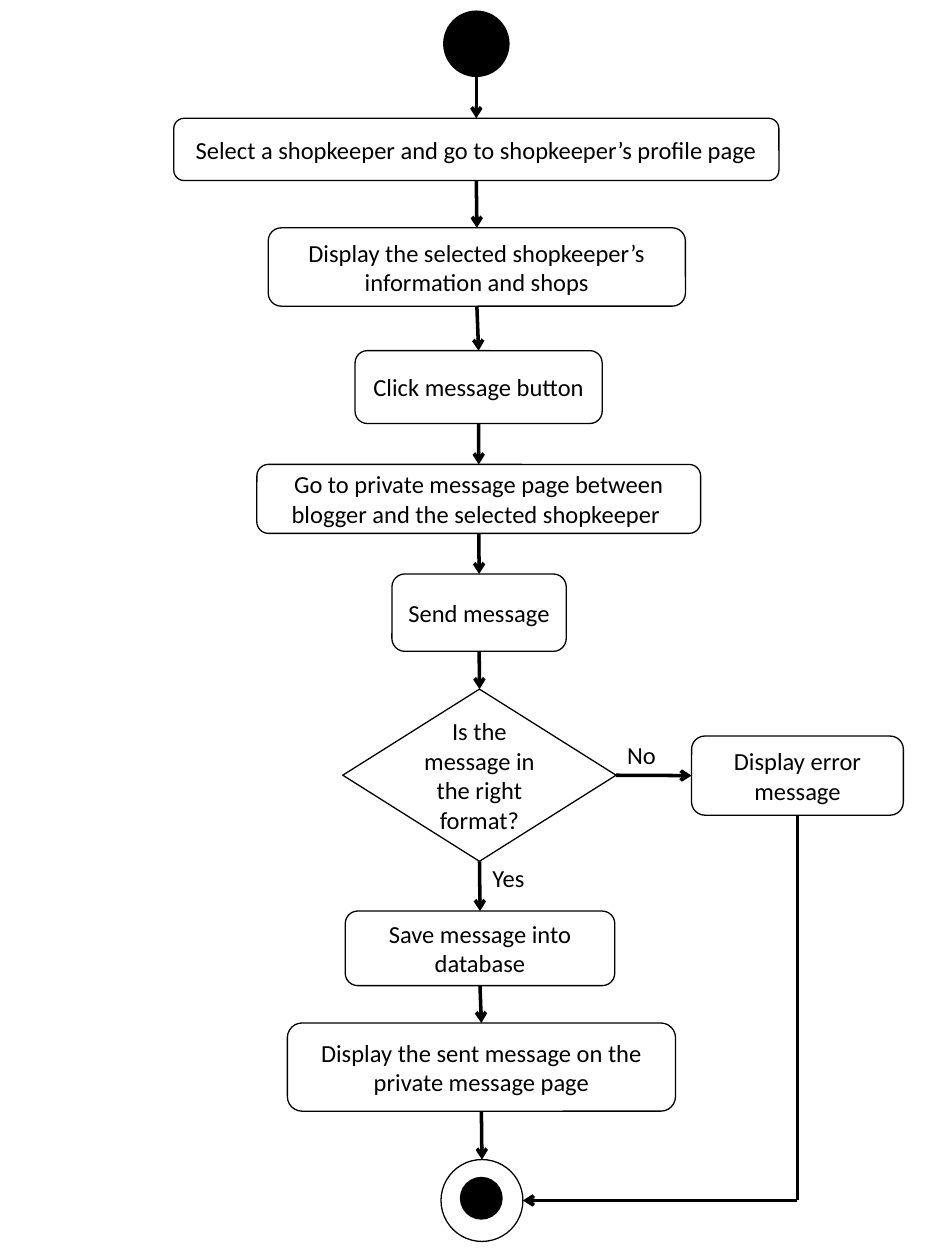
from lxml import etree
from pptx import Presentation
from pptx.dml.color import RGBColor
from pptx.enum.shapes import MSO_CONNECTOR, MSO_SHAPE
from pptx.enum.text import MSO_ANCHOR, MSO_AUTO_SIZE, PP_ALIGN
from pptx.oxml.ns import qn
from pptx.util import Pt

COLORS = {"ink": "000000", "paper": "FFFFFF"}
FONT = "Calibri"
TEXT_SIZE = 14
TOP, LEFT, BOTTOM, RIGHT = range(4)

ROUND, DIAMOND = MSO_SHAPE.ROUNDED_RECTANGLE, MSO_SHAPE.FLOWCHART_DECISION
# Steps: kind, shift from the column's axis, top, width, height, wording
STEPS = [
    (ROUND, 0, 61.6, 345.8, 35.6,
     "Select a shopkeeper and go to shopkeeper’s profile page"),
    (ROUND, 0.3, 124.2, 238.4, 44.8,
     "Display the selected shopkeeper’s information and shops"),
    (ROUND, 1.3, 194.4, 141.2, 41.6, "Click message button"),
    (ROUND, 1.4, 259.4, 253.6, 39.4,
     "Go to private message page between blogger and the selected shopkeeper "),
    (ROUND, 1.6, 322, 99.6, 44.2, "Send message"),
    (DIAMOND, 1.8, 387.8, 156.2, 98.4, "Is the message in the right format?"),
    (ROUND, 2.1, 514.6, 154, 42.6, "Save message into database"),
    (ROUND, 2.9, 578.6, 221.8, 50.4,
     "Display the sent message on the private message page"),
]


def color(name):
    return RGBColor.from_string(COLORS[name])


def write(box, text, align):
    box.text_frame.word_wrap = True
    box.text_frame.text = text
    para = box.text_frame.paragraphs[0]
    para.alignment = align
    span = para.runs[0]
    span.font.name = FONT
    span.font.size = Pt(TEXT_SIZE)
    span.font.color.rgb = color("ink")


def add_node(page, kind, left, top, width, height, text="", fill="paper"):
    node = page.shapes.add_shape(kind, Pt(left), Pt(top), Pt(width), Pt(height))
    node.shadow.inherit = False
    node.fill.solid()
    node.fill.fore_color.rgb = color(fill)
    if fill == "ink":
        node.line.fill.background()
    else:
        node.line.color.rgb = color("ink")
        node.line.width = Pt(0.75)
    if text:
        node.text_frame.vertical_anchor = MSO_ANCHOR.MIDDLE
        write(node, text, PP_ALIGN.CENTER)
    return node


def add_label(page, left, top, width, text):
    label = page.shapes.add_textbox(Pt(left), Pt(top), Pt(width), Pt(24.2))
    write(label, text, PP_ALIGN.LEFT)
    label.text_frame.auto_size = MSO_AUTO_SIZE.SHAPE_TO_FIT_TEXT


def add_line(page, start=(0, 0), end=(0, 0), arrow=True):
    line = page.shapes.add_connector(MSO_CONNECTOR.STRAIGHT, *start, *end)
    line.line.color.rgb = color("ink")
    line.line.width = Pt(2)
    if arrow:
        etree.SubElement(line.line._get_or_add_ln(), qn("a:tailEnd"), type="arrow")
    etree.SubElement(line._element.spPr, qn("a:effectLst"))
    return line


def join(page, source, source_side, target, target_side):
    line = add_line(page)
    line.begin_connect(source, source_side)
    line.end_connect(target, target_side)


def draw_main_flow(page, left, top, width):
    """Draw the central column and return its decision and end nodes."""
    axis = left + width / 2

    # Start
    start = add_node(page, MSO_SHAPE.OVAL, axis - 19, top, 38, 38, fill="ink")

    # Steps
    nodes = [
        add_node(page, kind, axis + shift - w / 2, top + y, w, h, text)
        for kind, shift, y, w, h, text in STEPS
    ]

    # End: ring with a dot
    ring_axis = axis + 3.2
    end = add_node(page, MSO_SHAPE.OVAL, ring_axis - 23.4, top + 656.6, 46.8, 46.8)
    add_node(page, MSO_SHAPE.OVAL, ring_axis - 12.6, top + 666.5, 24.5, 24.5,
             fill="ink")

    # Arrows down the column
    first = add_line(page, (Pt(axis), start.top + start.height))
    first.end_connect(nodes[0], TOP)
    for source, target in zip(nodes, nodes[1:] + [end]):
        join(page, source, BOTTOM, target, TOP)

    add_label(page, axis + 2.1, top + 483.6, 46.8, "Yes")
    return nodes[5], end


def draw_error_branch(page, left, top, width, height, decision, end):
    """Draw the error box and its route from the decision to the end."""
    error = add_node(page, ROUND, left, top, width, height, "Display error message")
    join(page, decision, RIGHT, error, LEFT)
    add_label(page, left - 44, top - 1.5, 34, "No")

    corner = (error.left + error.width // 2, end.top + end.height // 2)
    drop = add_line(page, end=corner, arrow=False)
    drop.begin_connect(error, BOTTOM)
    add_line(page, corner, (end.left + end.width, corner[1]))


def main():
    deck = Presentation()
    deck.slide_width, deck.slide_height = Pt(540), Pt(720)
    page = deck.slides.add_slide(deck.slide_layouts[6])
    decision, end = draw_main_flow(page, 99.3, 6, 345.8)
    draw_error_branch(page, 395.2, 420.6, 121, 45.2, decision, end)
    deck.save("out.pptx")


if __name__ == "__main__":
    main()
